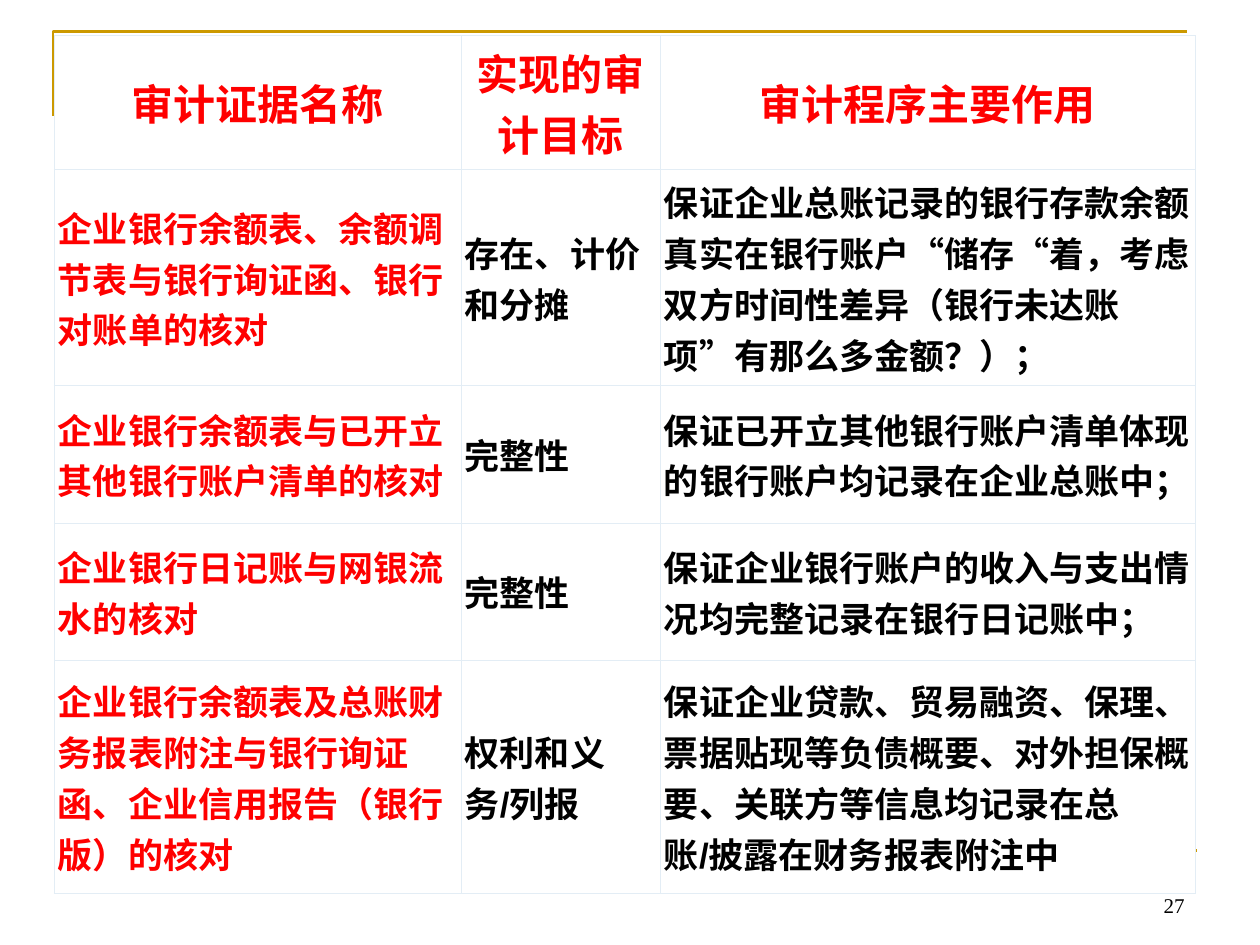
from dataclasses import dataclass
from lxml import etree
from pptx import Presentation
from pptx.dml.color import RGBColor
from pptx.enum.shapes import MSO_CONNECTOR
from pptx.enum.text import MSO_ANCHOR, PP_ALIGN
from pptx.oxml.ns import qn
from pptx.util import Inches, Pt

STRAIGHT = MSO_CONNECTOR.STRAIGHT
MIDDLE, BOTTOM = MSO_ANCHOR.MIDDLE, MSO_ANCHOR.BOTTOM
LEFT, CENTER, RIGHT = PP_ALIGN.LEFT, PP_ALIGN.CENTER, PP_ALIGN.RIGHT

# Content
HEADER = ("审计证据名称", "实现的审计目标", "审计程序主要作用")
ROWS = [
    ("企业银行余额表、余额调节表与银行询证函、银行对账单的核对",
     "存在、计价和分摊",
     "保证企业总账记录的银行存款余额真实在银行账户“储存“着，考虑双方时间性差异（银行未达账项”有那么多金额？）；"),
    ("企业银行余额表与已开立其他银行账户清单的核对",
     "完整性",
     "保证已开立其他银行账户清单体现的银行账户均记录在企业总账中；"),
    ("企业银行日记账与网银流水的核对",
     "完整性",
     "保证企业银行账户的收入与支出情况均完整记录在银行日记账中；"),
    ("企业银行余额表及总账财务报表附注与银行询证函、企业信用报告（银行版）的核对",
     "权利和义务/列报",
     "保证企业贷款、贸易融资、保理、票据贴现等负债概要、对外担保概要、关联方等信息均记录在总账/披露在财务报表附注中"),
]
PAGE_NUMBER = "27"
COLUMN_WIDTHS = (3.23, 1.58, 4.25)
ROW_HEIGHTS = (0.85, 1.6, 1.09, 1.09, 1.85)


@dataclass(frozen=True)
class Theme:
    red: str = "FF0000"
    black: str = "000000"
    white: str = "FFFFFF"
    gold: str = "CC9900"
    grid: str = "E3EDF5"
    grid_width: float = 0.34
    rule_width: float = 1.5
    header_size: int = 24
    body_size: int = 20
    number_size: int = 12
    table_font: str = "Arial"
    number_font: str = "Times New Roman"


THEME = Theme()


def write(frame, text, size, color, font, align, bold=False):
    para = frame.paragraphs[0]
    para.alignment = align
    # Keep punctuation inside the text area
    para._p.get_or_add_pPr().set("hangingPunct", "0")
    span = para.add_run()
    span.text = text
    span.font.size = Pt(size)
    span.font.bold = bold
    span.font.name = font
    span.font.color.rgb = RGBColor.from_string(color)


def style_rule(rule):
    rule.line.color.rgb = RGBColor.from_string(THEME.gold)
    rule.line.width = Pt(THEME.rule_width)


def add_borders(cell):
    props = cell._tc.get_or_add_tcPr()
    for index, side in enumerate(("lnL", "lnR", "lnT", "lnB")):
        border = etree.Element(qn(f"a:{side}"), w=str(Pt(THEME.grid_width)))
        fill = etree.SubElement(border, qn("a:solidFill"))
        etree.SubElement(fill, qn("a:srgbClr"), val=THEME.grid)
        props.insert(index, border)


def add_frame_rules(page):
    # Open corner at the top left
    builder = page.shapes.build_freeform(Inches(0.42), Inches(0.92))
    builder.add_line_segments(
        [(Inches(0.42), Inches(0.25)), (Inches(9.42), Inches(0.25))], close=False)
    corner = builder.convert_to_shape()
    corner.shadow.inherit = False
    corner.fill.background()
    style_rule(corner)

    # Rule at the foot
    foot = page.shapes.add_connector(
        STRAIGHT, Inches(0.5), Inches(6.75), Inches(9.5), Inches(6.75))
    style_rule(foot)
    etree.SubElement(foot._element.spPr, qn("a:effectLst"))


def add_audit_table(page):
    table = page.shapes.add_table(
        len(ROW_HEIGHTS), len(COLUMN_WIDTHS), Inches(0.43), Inches(0.28),
        Inches(sum(COLUMN_WIDTHS)), Inches(sum(ROW_HEIGHTS))).table
    for column, width in zip(table.columns, COLUMN_WIDTHS):
        column.width = Inches(width)
    for row, height in zip(table.rows, ROW_HEIGHTS):
        row.height = Inches(height)

    for r, texts in enumerate([HEADER, *ROWS]):
        for c, text in enumerate(texts):
            cell = table.cell(r, c)
            cell.vertical_anchor = MIDDLE
            cell.margin_left = cell.margin_right = Inches(0.03)
            cell.margin_top = cell.margin_bottom = Inches(0.05)
            cell.fill.solid()
            cell.fill.fore_color.rgb = RGBColor.from_string(THEME.white)
            add_borders(cell)
            is_header = r == 0
            write(cell.text_frame, text,
                  THEME.header_size if is_header else THEME.body_size,
                  THEME.red if is_header or c == 0 else THEME.black,
                  THEME.table_font, CENTER if is_header else LEFT, bold=True)


def add_page_number(page):
    box = page.shapes.add_textbox(
        Inches(7.17), Inches(6.83), Inches(2.33), Inches(0.5))
    box.text_frame.word_wrap = True
    box.text_frame.vertical_anchor = BOTTOM
    write(box.text_frame, PAGE_NUMBER, THEME.number_size, THEME.black,
          THEME.number_font, RIGHT)


def main():
    deck = Presentation()
    deck.slide_width, deck.slide_height = Inches(10), Inches(7.5)
    page = deck.slides.add_slide(deck.slide_layouts[6])
    add_frame_rules(page)
    add_audit_table(page)
    add_page_number(page)
    deck.save("out.pptx")


if __name__ == "__main__":
    main()
